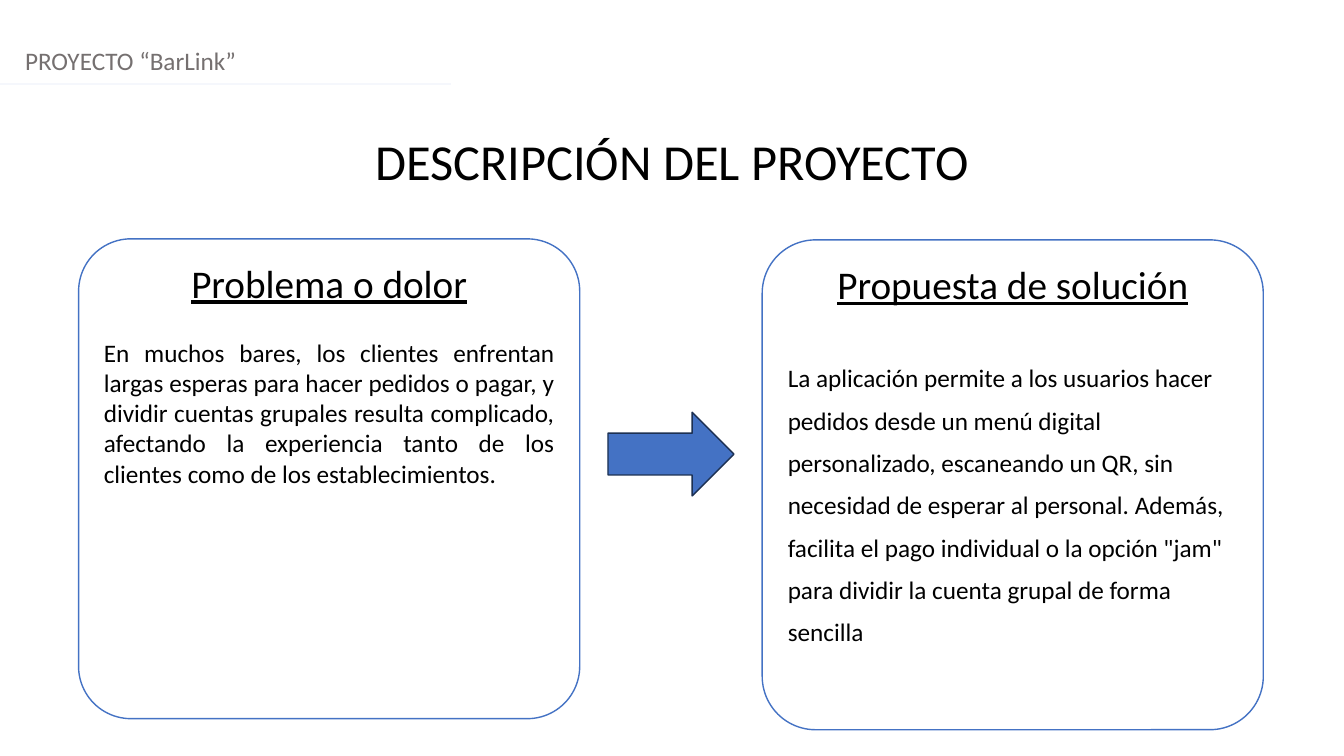
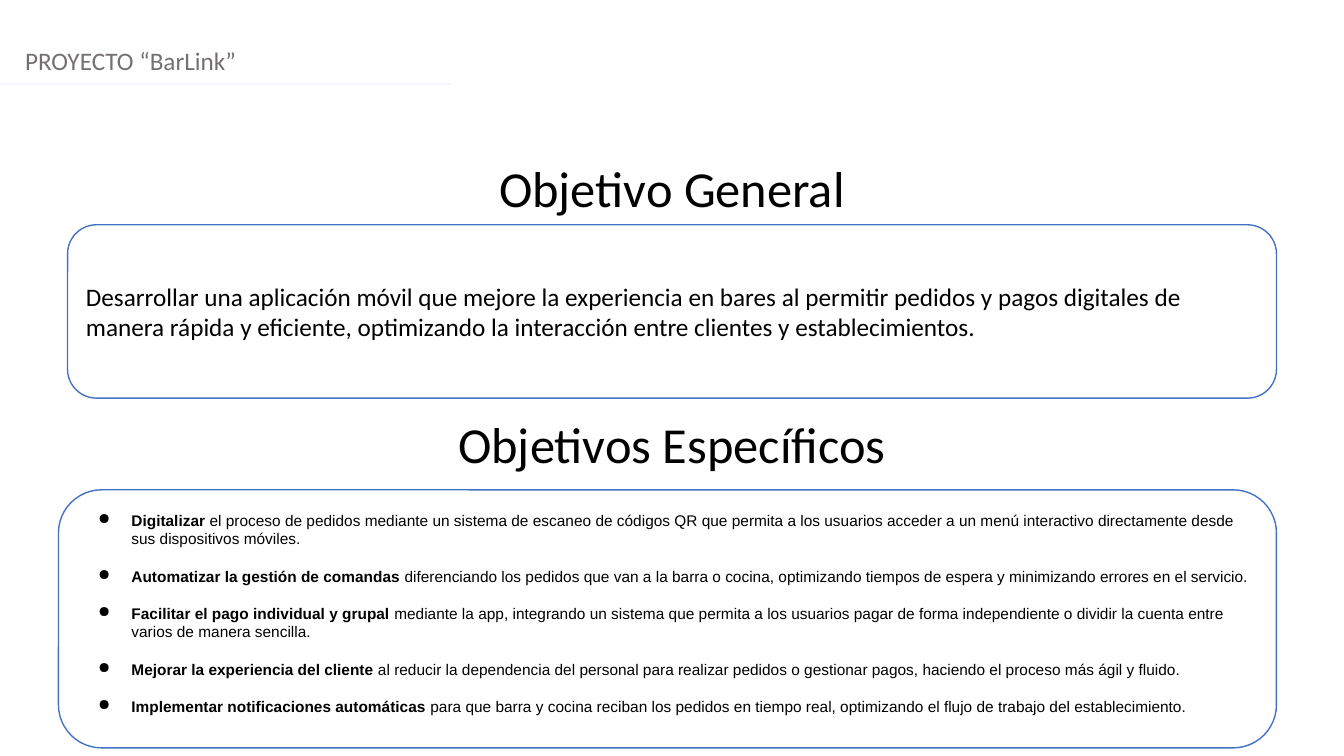
from pptx import Presentation
from pptx.dml.color import RGBColor
from pptx.enum.shapes import MSO_CONNECTOR as Connector, MSO_SHAPE as Shape
from pptx.enum.text import MSO_ANCHOR as Anchor, PP_ALIGN as Align
from pptx.oxml.ns import qn
from pptx.util import Inches, Pt
from lxml import etree

COLORS = {
    "text": "000000",
    "header": "757070",
    "rule": "F5F7FC",
    "accent": "4472C4",
    "arrow_edge": "1C3052",
    "panel": "FFFFFF",
}
WIDTH, HEIGHT = 13.33, 7.5


def color(name):
    return RGBColor.from_string(COLORS[name])


class SlideBuilder:
    """Holds the shared style and the slide being built."""

    def __init__(self, deck):
        self.deck = deck
        self.page = None

    def new_page(self):
        self.page = self.deck.slides.add_slide(self.deck.slide_layouts[6])
        self.text_box("PROYECTO “BarLink”", 0.15, 0.4, WIDTH - 0.15, 0.4, 18, "header")
        self.rule(0, 0.83, 4.47)

    def style(self, span, size, tone="text", font="Calibri", bold=False, underline=False):
        span.font.name = font
        span.font.size = Pt(size)
        span.font.color.rgb = color(tone)
        span.font.bold = bold
        span.font.underline = underline

    def text_box(self, text, left, top, width, height, size, tone="text", align=Align.LEFT):
        box = self.page.shapes.add_textbox(Inches(left), Inches(top), Inches(width), Inches(height))
        box.text_frame.word_wrap = True
        self.set_text(box.text_frame.paragraphs[0], text, size, align, tone=tone)

    def title(self, text, top):
        self.text_box(text, 0, top, WIDTH, 0.71, 36, align=Align.CENTER)

    def rule(self, left, top, width):
        line = self.page.shapes.add_connector(
            Connector.STRAIGHT, Inches(left), Inches(top), Inches(left + width), Inches(top))
        line.line.color.rgb = color("rule")
        line.line.width = Pt(1.25)
        etree.SubElement(line._element.spPr, qn("a:effectLst"))

    def shape(self, kind, left, top, width, height, fill, edge):
        shape = self.page.shapes.add_shape(
            kind, Inches(left), Inches(top), Inches(width), Inches(height))
        shape.shadow.inherit = False
        shape.fill.solid()
        shape.fill.fore_color.rgb = color(fill)
        shape.line.color.rgb = color(edge)
        shape.line.width = Pt(1)
        return shape

    def panel(self, left, top, width, height, rounding, anchor, bottom_inset=0.05):
        """Add a rounded panel and return its text frame."""
        shape = self.shape(Shape.ROUNDED_RECTANGLE, left, top, width, height, "panel", "accent")
        shape.adjustments[0] = rounding
        frame = shape.text_frame
        frame.word_wrap = True
        frame.vertical_anchor = anchor
        frame.margin_bottom = Inches(bottom_inset)
        return frame

    def arrow(self, left, top, width, height):
        self.shape(Shape.RIGHT_ARROW, left, top, width, height, "accent", "arrow_edge")

    def set_text(self, para, text, size, align=Align.LEFT, **look):
        para.text = text
        para.alignment = align
        self.style(para.runs[0], size, **look)

    def bullets(self, frame, items, size, gap):
        for index, (lead, rest) in enumerate(items):
            para = frame.add_paragraph() if index else frame.paragraphs[0]
            self.set_text(para, lead, size, font="Arial", bold=True)
            span = para.add_run()
            span.text = rest
            self.style(span, size, font="Arial")
            para.space_before = Pt(gap if index else 0)
            props = para._p.get_or_add_pPr()
            props.set("marL", str(Inches(0.5)))
            props.set("indent", str(Inches(-0.33)))
            tint = etree.SubElement(props, qn("a:buClr"))
            etree.SubElement(tint, qn("a:srgbClr"), val=COLORS["text"])
            etree.SubElement(props, qn("a:buChar"), char="●")


def description_page(builder):
    builder.new_page()
    builder.title("DESCRIPCIÓN DEL PROYECTO", 1.24)

    # Problem and solution panels: left, top, height, texts, body layout
    panels = [
        (0.78, 2.37, 4.76, "Problema o dolor",
         "En muchos bares, los clientes enfrentan largas esperas para hacer pedidos o pagar, "
         "y dividir cuentas grupales resulta complicado, afectando la experiencia tanto de "
         "los clientes como de los establecimientos.",
         Align.JUSTIFY, 1.0),
        (7.56, 2.38, 4.86, "Propuesta de solución",
         "La aplicación permite a los usuarios hacer pedidos desde un menú digital "
         "personalizado, escaneando un QR, sin necesidad de esperar al personal. Además, "
         "facilita el pago individual o la opción \"jam\" para dividir la cuenta grupal de "
         "forma sencilla",
         Align.LEFT, 1.4),
    ]
    for left, top, height, heading, body, align, spacing in panels:
        frame = builder.panel(left, top, 4.97, height, 0.109, Anchor.TOP)
        builder.set_text(frame.paragraphs[0], heading, 28, Align.CENTER, underline=True)
        para = frame.add_paragraph()
        builder.set_text(para, body, 18, align)
        para.line_spacing = spacing
        para.space_before = Pt(22 * spacing)

    builder.arrow(6.03, 4.09, 1.25, 0.83)


def objectives_page(builder):
    builder.new_page()

    # General objective
    builder.title("Objetivo General", 1.51)
    frame = builder.panel(0.67, 2.23, 11.99, 1.72, 0.167, Anchor.MIDDLE)
    builder.set_text(
        frame.paragraphs[0],
        "Desarrollar una aplicación móvil que mejore la experiencia en bares al permitir "
        "pedidos y pagos digitales de manera rápida y eficiente, optimizando la interacción "
        "entre clientes y establecimientos.", 18)

    # Specific objectives
    builder.title("Objetivos Específicos", 4.05)
    frame = builder.panel(0.58, 4.86, 12.08, 2.56, 0.167, Anchor.MIDDLE, bottom_inset=0.16)
    builder.bullets(frame, [
        ("Digitalizar",
         " el proceso de pedidos mediante un sistema de escaneo de códigos QR que permita a "
         "los usuarios acceder a un menú interactivo directamente desde sus dispositivos "
         "móviles."),
        ("Automatizar la gestión de comandas",
         " diferenciando los pedidos que van a la barra o cocina, optimizando tiempos de "
         "espera y minimizando errores en el servicio."),
        ("Facilitar el pago individual y grupal",
         " mediante la app, integrando un sistema que permita a los usuarios pagar de forma "
         "independiente o dividir la cuenta entre varios de manera sencilla."),
        ("Mejorar la experiencia del cliente",
         " al reducir la dependencia del personal para realizar pedidos o gestionar pagos, "
         "haciendo el proceso más ágil y fluido."),
        ("Implementar notificaciones automáticas",
         " para que barra y cocina reciban los pedidos en tiempo real, optimizando el flujo "
         "de trabajo del establecimiento."),
    ], size=11, gap=13.4)


def main():
    deck = Presentation()
    deck.slide_width, deck.slide_height = Inches(WIDTH), Inches(HEIGHT)
    builder = SlideBuilder(deck)
    description_page(builder)
    objectives_page(builder)
    deck.save("out.pptx")


if __name__ == "__main__":
    main()
